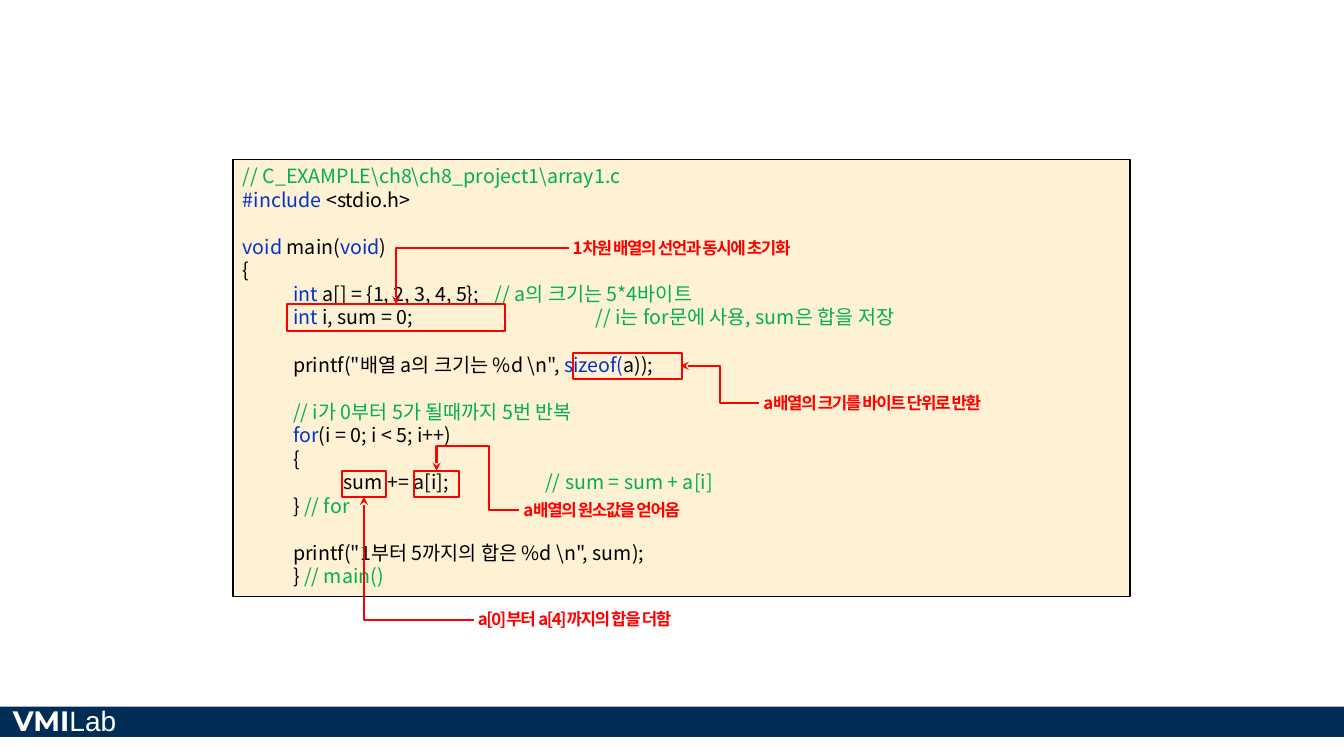
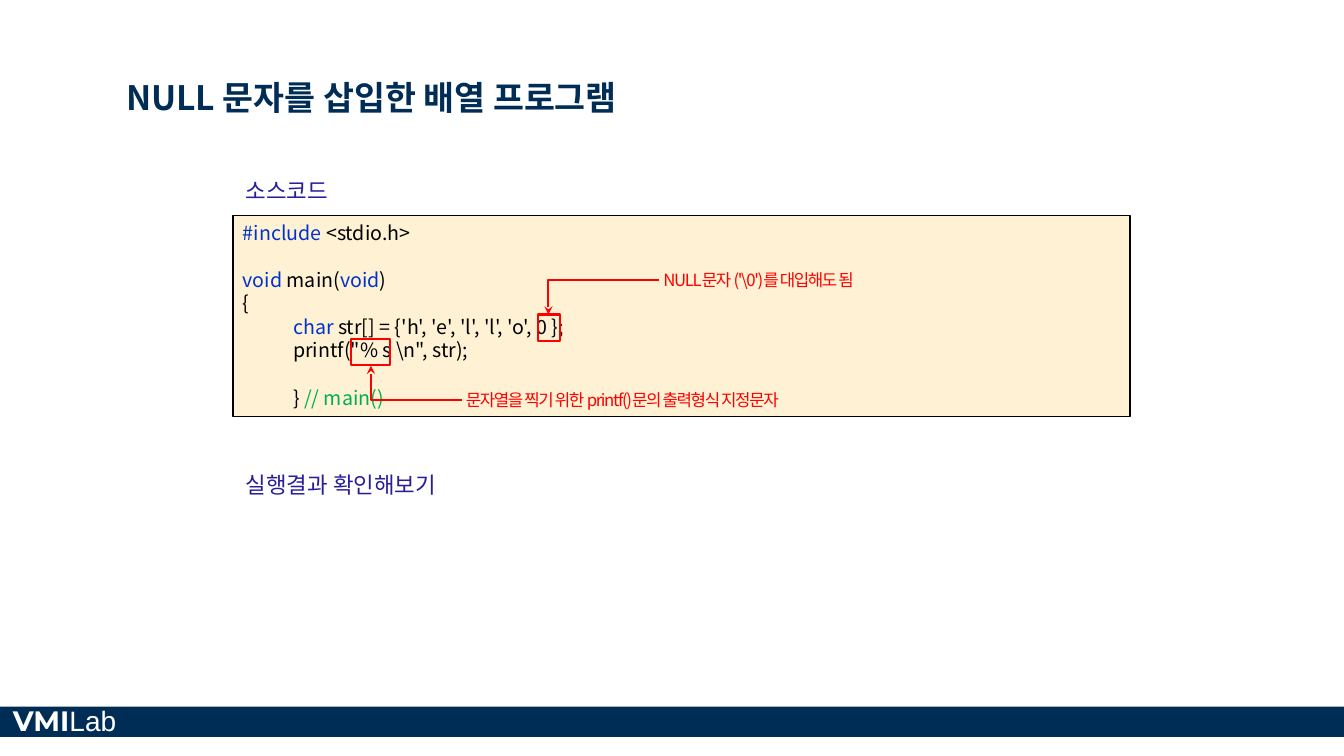
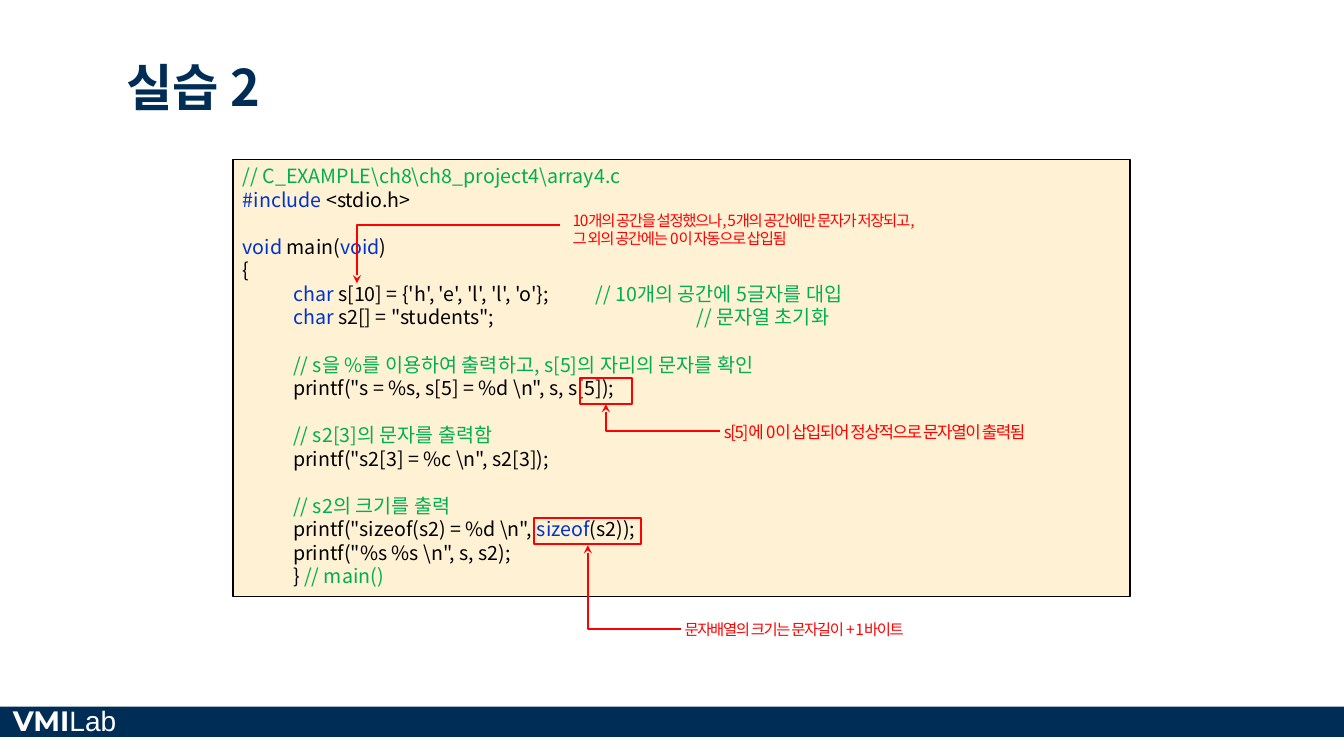
from dataclasses import dataclass

from lxml.etree import SubElement
from pptx import Presentation
from pptx.dml.color import RGBColor
from pptx.enum.shapes import MSO_CONNECTOR as CONN, MSO_SHAPE as SHAPE
from pptx.enum.text import MSO_ANCHOR as ANCHOR, MSO_AUTO_SIZE as AUTO, PP_ALIGN as ALIGN
from pptx.oxml.ns import qn
from pptx.util import Pt


@dataclass(frozen=True)
class Theme:
    navy: str = "002D56"
    white: str = "FFFFFF"
    cream: str = "FEF1D4"
    black: str = "000000"
    keyword: str = "0033CC"
    comment: str = "00B050"
    red: str = "FF0000"
    violet: str = "271E98"
    font: str = "Noto Sans CJK KR"
    code: int = 14
    heading: int = 16
    brand: int = 20
    leading: float = 1.2


th = Theme()
rgb = RGBColor.from_string
PX = 9144  # 100 px to the inch
INDENT, TAB = 50, 100
K, T, C = th.keyword, th.black, th.comment


def box(s, at, shape=None, fill=None, line=None, weight=1, inset=(10, 5)):
    """Add a text box, or a preset shape, with its text at the top left."""
    at = [v * PX for v in at]
    if shape is None:
        sp = s.shapes.add_textbox(*at)
    else:
        sp = s.shapes.add_shape(shape, *at)
        sp.shadow.inherit = False
        if fill:
            sp.fill.solid()
            sp.fill.fore_color.rgb = rgb(fill)
        else:
            sp.fill.background()
        if line:
            sp.line.color.rgb = rgb(line)
            sp.line.width = Pt(weight)
        else:
            sp.line.fill.background()
    tf = sp.text_frame
    tf.word_wrap = True
    tf.vertical_anchor = ANCHOR.TOP
    tf.margin_left = tf.margin_right = inset[0] * PX
    tf.margin_top = tf.margin_bottom = inset[1] * PX
    return sp


def add_run(p, text, size, color, bold=False, font=th.font, spacing=None):
    p.alignment = ALIGN.LEFT
    p.line_spacing = Pt(round(size * th.leading, 1))
    r = p.add_run()
    r.text = text
    r.font.size, r.font.bold, r.font.name = Pt(size), bold, font
    r.font.color.rgb = rgb(color)
    rPr = r.font._element
    SubElement(rPr, qn("a:ea")).set("typeface", font)
    if spacing:
        rPr.set("spc", str(spacing))


# Code lines: level, then colour and text in turn; () is an empty line
opening = [
    (0, K, "#include ", T, "<stdio.h>"),
    (),
    (0, K, "void ", T, "main(", K, "void", T, ")"),
    (0, T, "{"),
]
closing = (1, T, "} ", C, "// main()")

# Notes: box, size, text, arrow (x1, y1, x2, y2), connector, adjustments
slides = [
    dict(
        title=None,
        headings=[],
        code_at=(231, 158, 890, 434),
        code=[
            (0, C, "// C_EXAMPLE\\ch8\\ch8_project1\\array1.c"),
            *opening,
            (1, K, "int ", T, "a[] = {1, 2, 3, 4, 5}; \t", C, "// a의 크기는 5*4바이트"),
            (1, K, "int ", T, "i, sum = 0; \t\t", C, "// i는 for문에 사용, sum은 합을 저장"),
            (),
            (1, T, 'printf("배열 a의 크기는 %d \\n", ', K, "sizeof(", T, "a));"),
            (),
            (1, C, "// i가 0부터 5가 될때까지 5번 반복"),
            (1, K, "for", T, "(i = 0; i < 5; i++)"),
            (1, T, "{"),
            (2, T, "sum += a[i]; \t", C, "// sum = sum + a[i]"),
            (1, T, "} ", C, "// for"),
            (),
            (1, T, 'printf("1부터 5까지의 합은 %d \\n", sum);'),
            closing,
        ],
        marks=[(285, 302, 216, 26), (568, 350, 108, 26), (411, 467, 44, 26), (339, 467, 44, 26)],
        bold=True,
        notes=[
            ((564, 232, 425, 28), 12, "1차원 배열의 선언과 동시에 초기화",
             (564, 246, 393, 302), "bentConnector2", ()),
            ((753, 386, 425, 28), 12, "a배열의 크기를 바이트 단위로 반환",
             (753, 400, 675, 363), "bentConnector3", (50000,)),
            ((515, 492, 199, 28), 12, "a배열의 원소값을 얻어옴",
             (515, 506, 433, 467), "bentConnector4", (36800, 163200)),
            ((470, 600, 288, 28), 12, "a[0]부터 a[4]까지의 합을 더함",
             (470, 615, 361, 493), "bentConnector2", ()),
        ],
    ),
    dict(
        title=("NULL 문자를 삽입한 배열 프로그램", 24),
        headings=[(171, "소스코드"), (462, "실행결과 확인해보기")],
        code_at=(231, 214, 890, 199),
        code=[
            *opening,
            (1, K, "char ", T, "str[] = {'h', 'e', 'l', 'l', 'o', 0 };"),
            (1, T, 'printf("% s \\n", str);'),
            (),
            closing,
        ],
        marks=[(534, 312, 21, 26), (348, 336, 39, 26)],
        bold=False,
        notes=[
            ((654, 264, 354, 28), 12, "NULL문자 ('\\0')를 대입해도 됨",
             (654, 278, 544, 312), "bentConnector2", ()),
            ((458, 383, 354, 28), 12, "문자열을 찍기 위한 printf()문의 출력형식 지정문자",
             (458, 397, 368, 363), "bentConnector2", ()),
        ],
    ),
    dict(
        title=("실습 2", 36),
        headings=[],
        code_at=(231, 158, 890, 434),
        code=[
            (0, C, "// C_EXAMPLE\\ch8\\ch8_project4\\array4.c"),
            *opening,
            (1, K, "char ", T, "s[10] = {'h', 'e', 'l', 'l', 'o'}; \t",
             C, "// 10개의 공간에 5글자를 대입"),
            (1, K, "char ", T, 's2[] = "students"; \t\t', C, "// 문자열 초기화"),
            (),
            (1, C, "// s을 %를 이용하여 출력하고, s[5]의 자리의 문자를 확인"),
            (1, T, 'printf("s = %s, s[5] = %d \\n", s, s[5]);'),
            (),
            (1, C, "// s2[3]의 문자를 출력함"),
            (1, T, 'printf("s2[3] = %c \\n", s2[3]);'),
            (),
            (1, C, "// s2의 크기를 출력"),
            (1, T, 'printf("sizeof(s2) = %d \\n", ', K, "sizeof", T, "(s2));"),
            (1, T, 'printf("%s %s \\n", s, s2);'),
            closing,
        ],
        marks=[(575, 375, 52, 26), (530, 514, 106, 26)],
        bold=False,
        notes=[
            ((564, 205, 360, 45), 11,
             "10개의 공간을 설정했으나, 5개의 공간에만 문자가 저장되고, 그 외의 공간에는 0이 자동으로 삽입됨",
             (555, 223, 354, 281), "bentConnector2", ()),
            ((714, 404, 334, 48), 12, "s[5]에 0이 삽입되어 정상적으로 문자열이 출력됨",
             (714, 428, 601, 401), "bentConnector2", ()),
            ((675, 611, 334, 26), 11, "문자배열의 크기는 문자길이 + 1바이트",
             (675, 624, 583, 541), "bentConnector2", ()),
        ],
    ),
]

prs = Presentation()
prs.slide_width, prs.slide_height = 1333 * PX, 750 * PX
title_only, blank = prs.slide_layouts[5], prs.slide_layouts[6]

for number, page in enumerate(slides):
    s = prs.slides.add_slide(title_only if page["title"] else blank)

    # Footer band and name, built once and moved to the master
    if number == 0:
        band = box(s, (0, 701, 1333, 30), SHAPE.RECTANGLE, th.navy)
        brand = box(s, (3, 693, 152, 44))
        p = brand.text_frame.paragraphs[0]
        add_run(p, "VMI", th.brand, th.white, True, "Montserrat")
        add_run(p, "Lab", th.brand, th.white, False, "Arial")
        for sp in (band, brand):
            prs.slide_master.shapes._spTree.append(sp._element)

    # Title
    if page["title"]:
        sp = s.shapes.title
        sp.left, sp.top, sp.width, sp.height = (v * PX for v in (115, 13, 1042, 108))
        tf = sp.text_frame
        tf.auto_size, tf.vertical_anchor = AUTO.NONE, ANCHOR.BOTTOM
        tf.margin_bottom = 5 * PX
        text, size = page["title"]
        add_run(tf.paragraphs[0], text, size, th.navy, True)

    # Headings
    for top, text in page["headings"]:
        sp = box(s, (234, top, 866, 86))
        add_run(sp.text_frame.paragraphs[0], text, th.heading, th.violet)

    # Code panel, with empty lines as space before the next paragraph
    tf = box(s, page["code_at"], SHAPE.RECTANGLE, th.cream, th.black).text_frame
    p, gap = tf.paragraphs[0], 0
    for i, line in enumerate(page["code"]):
        if not line:
            gap = th.code * th.leading
            continue
        if i:
            p = tf.add_paragraph()
        level, *parts = line
        p.level = level
        p.space_before, gap = Pt(gap), 0
        pPr = p._p.get_or_add_pPr()
        pPr.set("marL", str(level * INDENT * PX))
        pPr.set("indent", "0")
        pPr.set("defTabSz", str(TAB * PX))
        for color, text in zip(parts[::2], parts[1::2]):
            add_run(p, text, th.code, color)

    # Red frames around code
    for at in page["marks"]:
        sp = box(s, at, SHAPE.ROUNDED_RECTANGLE, line=th.red, weight=1.5)
        sp.adjustments[0] = 0

    # Notes and their arrows
    for at, size, text, ends, bend, adjust in page["notes"]:
        tf = box(s, at, inset=(4, 4)).text_frame
        tf.vertical_anchor = ANCHOR.MIDDLE
        p = tf.paragraphs[0]
        p._p.get_or_add_pPr().set("hangingPunct", "0")
        add_run(p, text, size, th.red, page["bold"], spacing=-100)

        arrow = s.shapes.add_connector(CONN.ELBOW, *(v * PX for v in ends))
        arrow.line.color.rgb = rgb(th.red)
        arrow.line.width = Pt(1.5)
        spPr = arrow._element.spPr
        geom = spPr.find(qn("a:prstGeom"))
        geom.set("prst", bend)
        for i, value in enumerate(adjust, 1):
            gd = SubElement(geom.find(qn("a:avLst")), qn("a:gd"))
            gd.set("name", f"adj{i}")
            gd.set("fmla", f"val {value}")
        SubElement(spPr.find(qn("a:ln")), qn("a:tailEnd")).set("type", "stealth")
        SubElement(spPr, qn("a:effectLst"))

prs.save("out.pptx")
